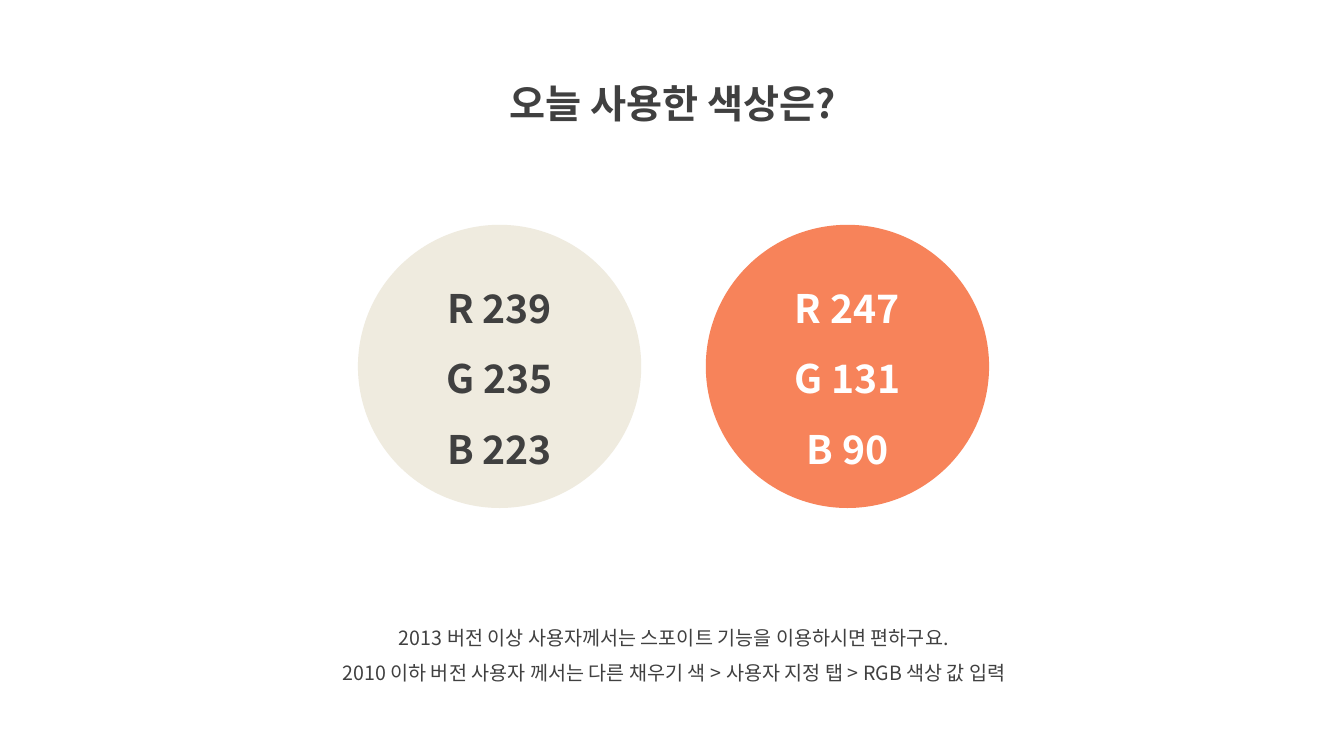
from lxml import etree
from pptx import Presentation
from pptx.dml.color import RGBColor
from pptx.enum.shapes import MSO_SHAPE
from pptx.enum.text import MSO_ANCHOR, MSO_AUTO_SIZE, PP_ALIGN
from pptx.oxml.ns import qn
from pptx.util import Inches, Pt

FONT = "Noto Sans CJK KR"
INK = RGBColor(64, 64, 64)
WHITE = RGBColor(255, 255, 255)
CREAM = RGBColor(239, 235, 223)
CORAL = RGBColor(247, 131, 90)

WIDTH, HEIGHT = Inches(13.33), Inches(7.5)
CIRCLE_SIZE = Inches(2.81)
CIRCLE_LEFT, CIRCLE_TOP = Inches(3.55), Inches(2.23)
CIRCLE_PITCH = Inches(3.45)

TITLE = "오늘 사용한 색상은?"
NOTES = [
    "2013 버전 이상 사용자께서는 스포이트 기능을 이용하시면 편하구요.",
    "2010 이하 버전 사용자 께서는 다른 채우기 색 > 사용자 지정 탭 > RGB 색상 값 입력",
]
SWATCHES = [(CREAM, INK), (CORAL, WHITE)]


def write_lines(frame, lines, size, color, bold=False):
    """Fill a text frame with centred lines in the slide's font."""
    frame.word_wrap = True
    for index, line in enumerate(lines):
        paragraph = frame.paragraphs[0] if index == 0 else frame.add_paragraph()
        paragraph.alignment = PP_ALIGN.CENTER
        paragraph.line_spacing = 1.5
        run = paragraph.add_run()
        run.text = line
        run.font.name = FONT
        run.font.size = Pt(size)
        run.font.bold = bold
        run.font.color.rgb = color
        east_asian = etree.SubElement(run.font._element, qn("a:ea"))
        east_asian.set("typeface", FONT)


def add_title(slide):
    """Move the title placeholder to the top centre and fill it."""
    title = slide.shapes.title
    title.left, title.top = Inches(4.36), Inches(0.5)
    title.width, title.height = Inches(4.63), Inches(0.72)
    frame = title.text_frame
    frame.vertical_anchor = MSO_ANCHOR.TOP
    frame.auto_size = MSO_AUTO_SIZE.SHAPE_TO_FIT_TEXT
    write_lines(frame, [TITLE], 28, INK, bold=True)


def add_swatch(slide, column, fill, ink):
    """Draw a circle in a colour, labelled with its RGB values."""
    left = CIRCLE_LEFT + column * CIRCLE_PITCH
    circle = slide.shapes.add_shape(
        MSO_SHAPE.OVAL, left, CIRCLE_TOP, CIRCLE_SIZE, CIRCLE_SIZE)
    circle.shadow.inherit = False
    circle.fill.solid()
    circle.fill.fore_color.rgb = fill
    circle.line.fill.background()
    circle.text_frame.vertical_anchor = MSO_ANCHOR.MIDDLE
    labels = [f"{channel} {value}" for channel, value in zip("RGB", fill)]
    write_lines(circle.text_frame, labels, 28, ink, bold=True)


def add_notes_text(slide):
    """Add the usage hints below the circles."""
    box = slide.shapes.add_textbox(
        Inches(2.69), Inches(6.04), Inches(7.99), Inches(0.81))
    box.text_frame.auto_size = MSO_AUTO_SIZE.SHAPE_TO_FIT_TEXT
    write_lines(box.text_frame, NOTES, 14, INK)


def main():
    """Build the colour slide and save it."""
    deck = Presentation()
    deck.slide_width, deck.slide_height = WIDTH, HEIGHT
    slide = deck.slides.add_slide(deck.slide_layouts.get_by_name("Title Only"))
    add_title(slide)
    add_notes_text(slide)
    for column, (fill, ink) in enumerate(SWATCHES):
        add_swatch(slide, column, fill, ink)
    deck.save("out.pptx")


main()
